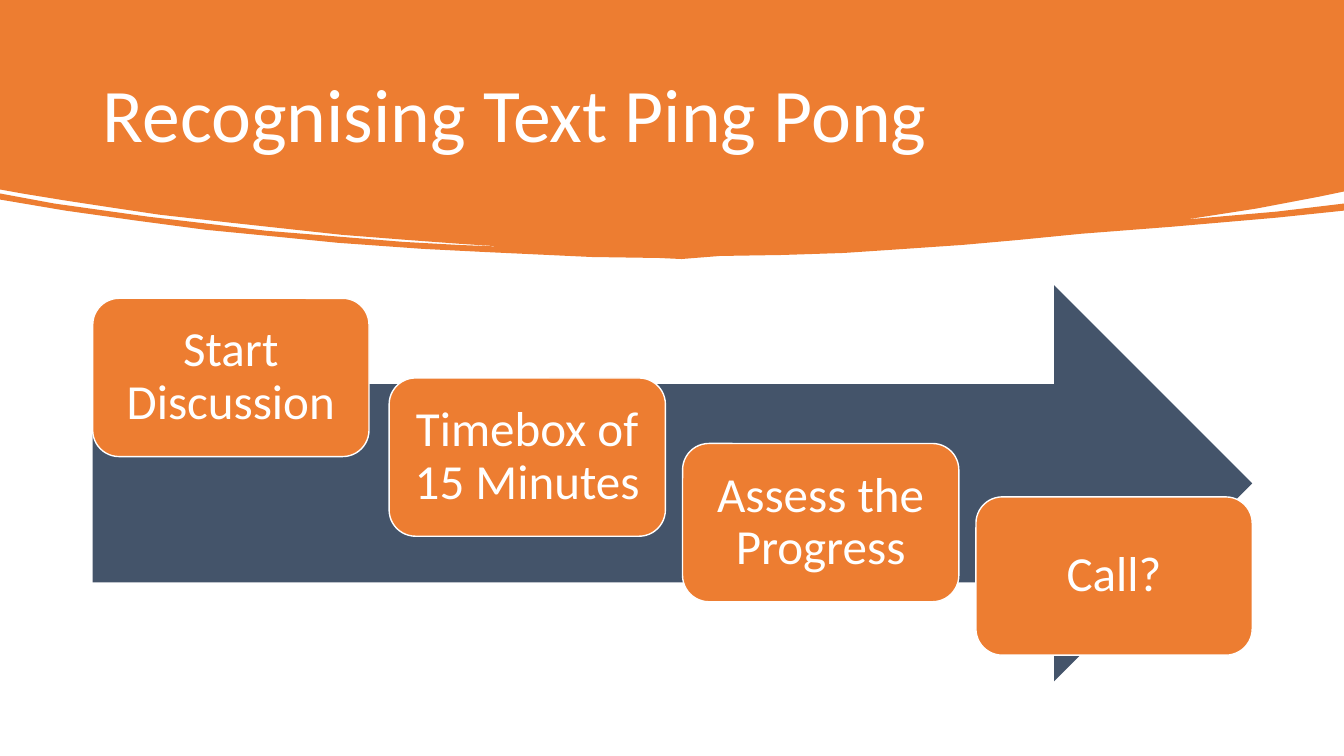
"""Build a title slide with a curved banner and four steps on an arrow."""
from pptx import Presentation
from pptx.dml.color import RGBColor
from pptx.enum.shapes import MSO_SHAPE
from pptx.enum.text import MSO_ANCHOR, MSO_AUTO_SIZE, PP_ALIGN
from pptx.util import Inches, Pt

ORANGE = RGBColor(0xED, 0x7D, 0x31)
SLATE = RGBColor(0x44, 0x54, 0x6A)
WHITE = RGBColor(0xFF, 0xFF, 0xFF)
ARROW = MSO_SHAPE.RIGHT_ARROW
ROUND = MSO_SHAPE.ROUNDED_RECTANGLE
MIDDLE = MSO_ANCHOR.MIDDLE
FIXED = MSO_AUTO_SIZE.NONE
LEFT, CENTER = PP_ALIGN.LEFT, PP_ALIGN.CENTER

EDGE = [
    (0, 0), (13.33, 0), (13.33, 1.9), (13.09, 1.95), (12.46, 2.07),
    (11.75, 2.18), (11.86, 2.17), (12.66, 2.1), (13.33, 2.02),
    (13.33, 2.09), (12.66, 2.16), (11.62, 2.25), (10.72, 2.32),
    (10.11, 2.38), (9.55, 2.43), (8.82, 2.48), (8.37, 2.51),
    (7.76, 2.53), (7.14, 2.54), (6.76, 2.57), (6.54, 2.56),
    (5.87, 2.55), (4.8, 2.5), (4.2, 2.47), (3.36, 2.41),
    (2.76, 2.35), (2.04, 2.28), (1.36, 2.19), (0.65, 2.09),
    (0, 1.98), (0, 1.92), (0.54, 2.02), (1.04, 2.09), (1.47, 2.15),
    (2.06, 2.22), (2.64, 2.29), (3.26, 2.34), (4, 2.4), (4.54, 2.43),
    (5.04, 2.45), (4.57, 2.42), (4.03, 2.38), (3.39, 2.33),
    (2.84, 2.27), (2.29, 2.21), (1.58, 2.13), (1.11, 2.06),
    (0.65, 1.99), (0.22, 1.92), (0, 1.88),
]
STEPS = [
    ("Start Discussion", 0.92, 2.96),
    ("Timebox of 15 Minutes", 3.86, 3.75),
    ("Assess the Progress", 6.77, 4.4),
    ("Call?", 9.68, 4.93),
]


def apply(item, values):
    """Set each named value on the item."""
    for name, value in values.items():
        setattr(item, name, value)


class Deck:
    """Hold the style and the current slide."""

    face = "Calibri"

    def __init__(self):
        """Open a wide deck with one title-only slide."""
        self.show = Presentation()
        apply(self.show, {"slide_width": Inches(13.33),
                          "slide_height": Inches(7.5)})
        self.slide = self.show.slides.add_slide(self.show.slide_layouts[5])
        self.shapes = self.slide.shapes

    def paint(self, shape, fill, line=None):
        """Give a shape a flat fill and an optional outline."""
        shape.shadow.inherit = False
        shape.fill.solid()
        shape.fill.fore_color.rgb = fill
        if line is None:
            shape.line.fill.background()
        else:
            shape.line.color.rgb = line
            shape.line.width = Pt(1)

    def label(self, shape, text, size, align, pad):
        """Put styled white text in a shape."""
        frame = shape.text_frame
        frame.text = text
        apply(frame, {"word_wrap": True, "auto_size": FIXED,
                      "vertical_anchor": MIDDLE})
        apply(frame, {f"margin_{side}": Inches(gap) for side, gap in pad.items()})
        para = frame.paragraphs[0]
        apply(para, {"alignment": align, "line_spacing": 0.9})
        font = para.runs[0].font
        apply(font, {"name": self.face, "size": Pt(size)})
        font.color.rgb = WHITE

    def banner(self, edge):
        """Draw the curved banner behind the title."""
        points = [(Inches(x), Inches(y)) for x, y in edge]
        pen = self.shapes.build_freeform(*points[0])
        pen.add_line_segments(points[1:], close=True)
        shape = pen.convert_to_shape()
        self.paint(shape, ORANGE)
        self.shapes._spTree.insert(2, shape._element)

    def title(self, text, left, top, width, height):
        """Place and format the title."""
        shape = self.shapes.title
        apply(shape, {"left": Inches(left), "top": Inches(top),
                      "width": Inches(width), "height": Inches(height)})
        self.label(shape, text, 54, LEFT,
                   {"left": 0.1, "right": 0.1, "top": 0.05, "bottom": 0.05})

    def block(self, kind, box, fill, line=None):
        """Add a painted preset shape."""
        shape = self.shapes.add_shape(kind, *map(Inches, box))
        self.paint(shape, fill, line)
        return shape

    def step(self, text, left, top):
        """Add one step card."""
        card = self.block(ROUND, (left, top, 2.74, 1.57), ORANGE, WHITE)
        self.label(card, text, 35, CENTER,
                   dict.fromkeys(("left", "right", "top", "bottom"), 0.15))


def main():
    """Build and save the slide."""
    deck = Deck()
    deck.banner(EDGE)
    deck.title("Recognising Text Ping Pong", 0.92, 0.44, 11.5, 1.47)
    deck.block(ARROW, (0.92, 2.83, 11.5, 3.93), SLATE)
    for text, left, top in STEPS:
        deck.step(text, left, top)
    deck.show.save("out.pptx")


if __name__ == "__main__":
    main()
